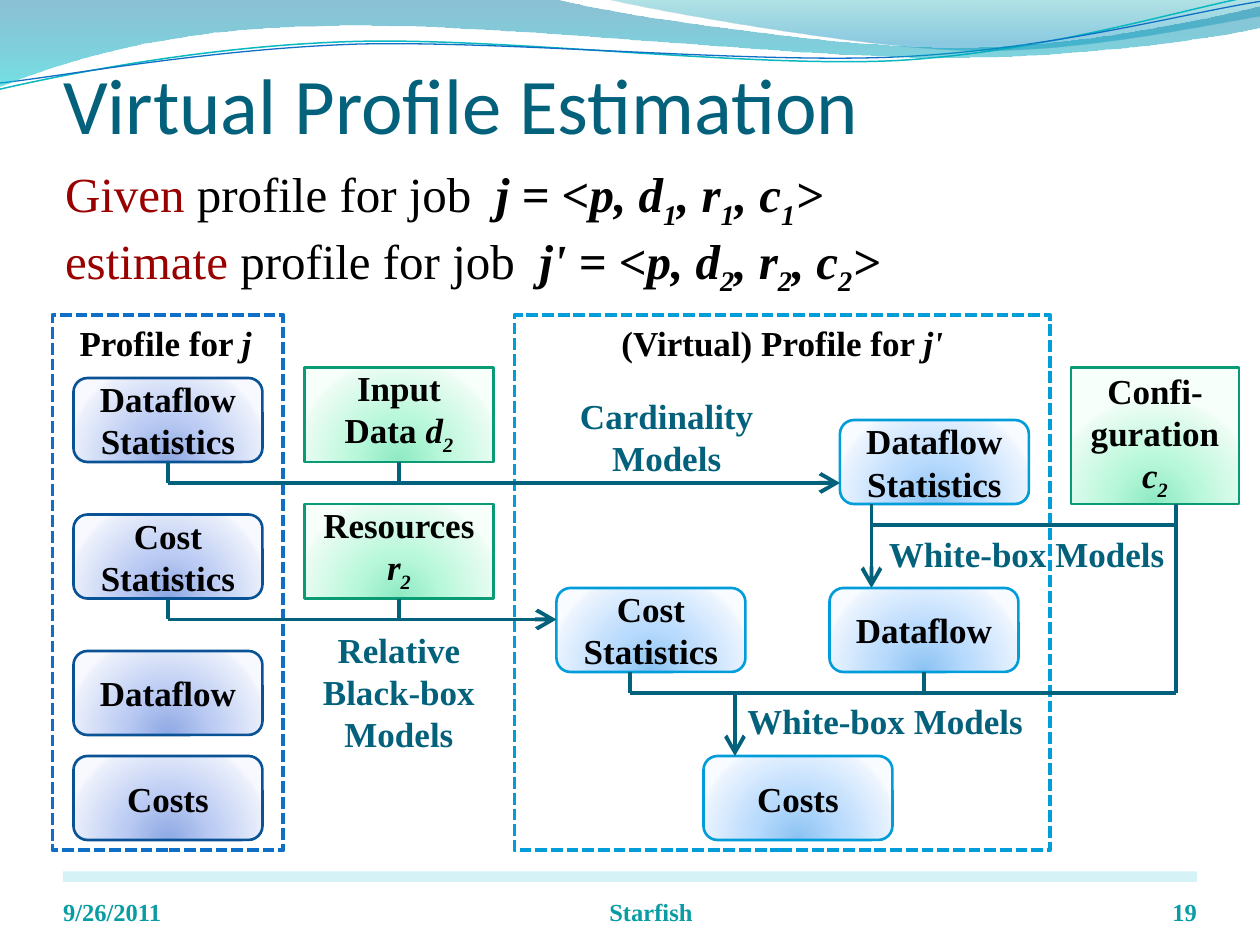
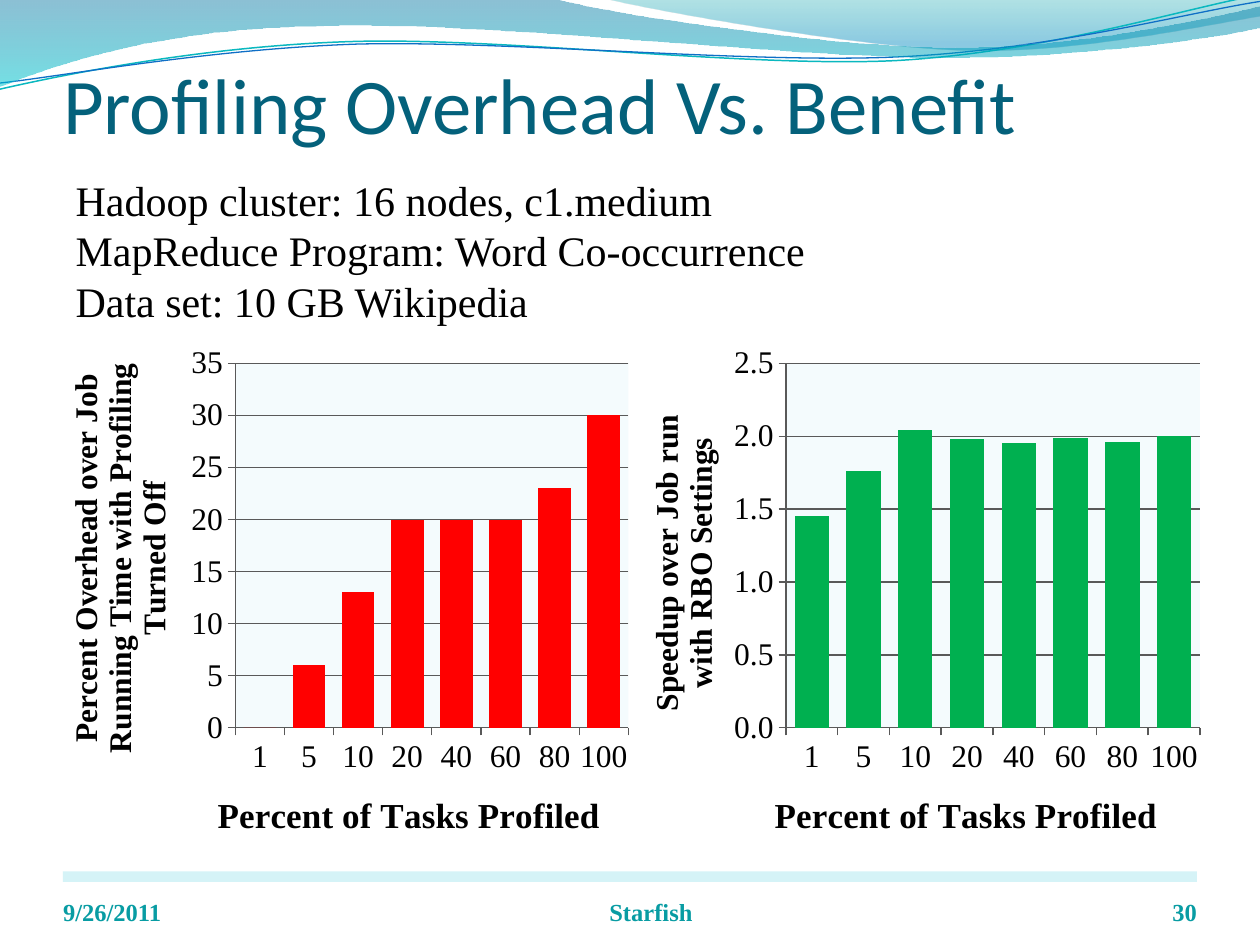
from dataclasses import dataclass

from lxml import etree
from pptx import Presentation
from pptx.chart.data import CategoryChartData
from pptx.dml.color import RGBColor
from pptx.enum.chart import XL_CHART_TYPE, XL_TICK_MARK
from pptx.enum.dml import MSO_LINE
from pptx.enum.shapes import MSO_CONNECTOR, MSO_SHAPE
from pptx.enum.text import MSO_ANCHOR, MSO_AUTO_SIZE, PP_ALIGN
from pptx.oxml import parse_xml
from pptx.oxml.ns import nsdecls, qn
from pptx.util import Pt

COLUMNS = XL_CHART_TYPE.COLUMN_CLUSTERED
TICK_OUT, TICK_NONE = XL_TICK_MARK.OUTSIDE, XL_TICK_MARK.NONE
SHORT_DASH = MSO_LINE.SQUARE_DOT
STRAIGHT = MSO_CONNECTOR.STRAIGHT
RECTANGLE, ROUNDED = MSO_SHAPE.RECTANGLE, MSO_SHAPE.ROUNDED_RECTANGLE
TOP, MIDDLE, BOTTOM = MSO_ANCHOR.TOP, MSO_ANCHOR.MIDDLE, MSO_ANCHOR.BOTTOM
LEFT, CENTER, RIGHT = PP_ALIGN.LEFT, PP_ALIGN.CENTER, PP_ALIGN.RIGHT
BOTTOM_SITE = 2
DEFAULT_INSETS = (7.2, 3.6, 7.2, 3.6)
NO_INSETS = (0, 0, 0, 0)


@dataclass(frozen=True)
class Theme:
    """Colours, fonts and type sizes of the deck."""

    title_font: str = "Calibri"
    body_font: str = "Times New Roman"
    title_size: int = 45
    given_size: int = 28
    setup_size: int = 24
    diagram_size: int = 20
    chart_size: int = 18
    footer_size: int = 14
    title: str = "04617B"
    footer: str = "089CA3"
    text: str = "000000"
    background: str = "FFFFFF"
    accent: str = "990000"
    band: str = "B3EAF2"
    known_panel: str = "0F6FC6"
    virtual_panel: str = "009DD9"
    axis: str = "595959"
    plot: str = "DBF5F9"
    overhead: str = "FF0000"
    speedup: str = "00B050"


THEME = Theme()
KNOWN = ("095295", ("8DA8E3", "BBCBF3", "EAEFFB", "F7F9FF"))
INPUT = ("0A9B74", ("8DEAC2", "BAF8DB", "EAFCF3", "F7FFFB"))
VIRTUAL = ("009DD9", ("8BC2F1", "B9DBFD", "EAF3FE", "F8FBFF"))
GLOW = '<a:path path="circle"><a:fillToRect l="50000" t="130000" r="50000" b="-30000"/></a:path>'
DOWNWARD = '<a:lin ang="5400000" scaled="0"/>'

RIGHT_WAVE = [(344.9, -0.7), (366.5, 5, 491, 27.4, 553.7, 28.8),
              (616.3, 30.2, 691.9, 13.7, 720, 9.4), (720, 0)]
LEFT_WAVE = [(0, -0.7), (316.8, -0.7), (342.7, 7.2, 478.1, 27.4, 545.8, 27.4),
             (614.2, 27.4, 689.8, 10.8, 720, 3.6), (720.7, 15.8),
             (707.8, 19.4, 626.4, 33.1, 537.1, 33.1),
             (447.8, 33.1, 275, 12.2, 185, 15.1), (92.9, 15.8, 33.1, 36.7, -0.7, 49.7)]
TEAL_LINE = [(-0.7, 51.1), (33.8, 43.2, 113.8, 26.6, 199.4, 23.8),
             (285.1, 20.9, 426.2, 38.9, 512.6, 34.6), (599, 29.5, 676.1, 5, 719.3, -2.9)]
BLUE_LINE = [(-0.7, 47.5), (33.8, 43.9, 118.1, 28.1, 203.8, 25.2),
             (290.2, 23, 429.8, 36.7, 515.5, 32.4), (601.9, 28.1, 678.2, 7.2, 720.7, 0.7)]


@dataclass(frozen=True)
class Box:
    """A rectangle in points."""

    left: float
    top: float
    width: float
    height: float

    def inside(self, x, y, width, height):
        """Return a box offset from this one's corner."""
        return Box(self.left + x, self.top + y, width, height)

    def lengths(self):
        """Return left, top, width and height as lengths."""
        return [Pt(v) for v in (self.left, self.top, self.width, self.height)]


def rgb(colour):
    """Return a colour object for a hex string."""
    return RGBColor.from_string(colour)


def write(text_frame, paragraphs, size, colour=THEME.text, alignment=CENTER, anchor=TOP,
          insets=DEFAULT_INSETS, font=THEME.body_font):
    """Write paragraphs of (text, flags) runs: b bold, i italic, s subscript, a accent."""
    text_frame.word_wrap = True
    text_frame.auto_size = MSO_AUTO_SIZE.NONE
    text_frame.vertical_anchor = anchor
    (text_frame.margin_left, text_frame.margin_top,
     text_frame.margin_right, text_frame.margin_bottom) = [Pt(v) for v in insets]
    for index, runs in enumerate(paragraphs):
        paragraph = text_frame.add_paragraph() if index else text_frame.paragraphs[0]
        properties = paragraph._p.get_or_add_pPr()
        properties.set("marL", "0")
        properties.set("indent", "0")
        etree.SubElement(properties, qn("a:buNone"))
        paragraph.alignment = alignment
        paragraph.space_before = Pt(0)
        for text, flags in runs:
            run = paragraph.add_run()
            run.text = text
            run.font.name, run.font.size = font, Pt(size)
            run.font.bold, run.font.italic = "b" in flags, "i" in flags
            run.font.color.rgb = rgb(THEME.accent if "a" in flags else colour)
            if "s" in flags:
                run._r.get_or_add_rPr().set("baseline", "-25000")


def bold_lines(*lines):
    """Return one bold paragraph per line."""
    return [[(line, "b")] for line in lines]


def add_text(slide, box, paragraphs, size=THEME.diagram_size, **style):
    """Add a text box."""
    write(slide.shapes.add_textbox(*box.lengths()).text_frame, paragraphs, size, **style)


def fill_placeholder(placeholder, box, paragraphs, size, **style):
    """Move a placeholder into the box and write its text."""
    placeholder.left, placeholder.top, placeholder.width, placeholder.height = box.lengths()
    write(placeholder.text_frame, paragraphs, size, alignment=LEFT, **style)


def set_gradient(shape, stops, direction):
    """Fill a shape with (position, colour, opacity) stops."""
    stop_xml = "".join(
        f'<a:gs pos="{position * 1000}"><a:srgbClr val="{colour}">'
        f'<a:alpha val="{opacity * 1000}"/></a:srgbClr></a:gs>'
        for position, colour, opacity in stops)
    shape.fill.background()
    properties = shape.element.spPr
    properties.replace(properties.find(qn("a:noFill")), parse_xml(
        f'<a:gradFill {nsdecls("a")} rotWithShape="1"><a:gsLst>{stop_xml}</a:gsLst>'
        f'{direction}</a:gradFill>'))


def add_wave(slide, segments, stops=None, line=None):
    """Add a filled wave or an open wave line made of lines and cubic curves."""
    points = [(Pt(x), Pt(y)) for segment in segments
              for x, y in zip(segment[::2], segment[1::2])]
    builder = slide.shapes.build_freeform(*points[0], scale=1.0)
    builder.add_line_segments(points[1:], close=bool(stops))
    shape = builder.convert_to_shape()
    steps = iter(shape.element.findall(".//" + qn("a:lnTo")))
    for segment in segments[1:]:
        step = next(steps)
        if len(segment) == 6:
            curve = etree.Element(qn("a:cubicBezTo"))
            step.addprevious(curve)
            for corner in (step, next(steps), next(steps)):
                curve.append(corner[0])
                corner.getparent().remove(corner)
    shape.shadow.inherit = False
    if stops:
        set_gradient(shape, stops, DOWNWARD)
        shape.line.fill.background()
    else:
        shape.fill.background()
        shape.line.color.rgb, shape.line.width = rgb(line[0]), Pt(line[1])
    return shape


def decorate_layout(layout, slide):
    """Draw the waves and footer band and hand them to the layout."""
    band = slide.shapes.add_shape(RECTANGLE, *Box(36, 498, 648, 6).lengths())
    band.shadow.inherit = False
    band.fill.solid()
    band.fill.fore_color.rgb = rgb(THEME.band)
    etree.SubElement(band.element.find(".//" + qn("a:srgbClr")), qn("a:alpha"), val="55000")
    band.line.fill.background()
    decorations = [
        band,
        add_wave(slide, RIGHT_WAVE, stops=[(0, "00A1A9", 30), (80, "008BBF", 45)]),
        add_wave(slide, TEAL_LINE, line=("0AB8BF", 0.85)),
        add_wave(slide, BLUE_LINE, line=("0F6FC6", 0.75)),
        add_wave(slide, LEFT_WAVE, stops=[(0, "0074A1", 45), (100, "00C6CF", 55)])]
    first_placeholder = layout.placeholders[0].element
    for number, shape in enumerate(decorations, 100):
        shape.element.nvSpPr.cNvPr.set("id", str(number))
        first_placeholder.addprevious(shape.element)


def add_frame(slide, title, number):
    """Fill the title and add the footer."""
    fill_placeholder(slide.shapes.title, Box(36, 24, 648, 66), [[(title, "")]],
                     THEME.title_size, colour=THEME.title, font=THEME.title_font,
                     anchor=MIDDLE, insets=(0, 3.6, 0, 0))
    footer = Box(36, 500.5, 648, 29)
    for text, x, width, alignment in (("9/26/2011", 0, 168, LEFT), ("Starfish", 204, 264, CENTER),
                                      (number, 588, 60, RIGHT)):
        add_text(slide, footer.inside(x, 0, width, footer.height), bold_lines(text),
                 THEME.footer_size, colour=THEME.footer, alignment=alignment,
                 anchor=BOTTOM, insets=NO_INSETS)


def add_panel(slide, box, colour, heading, insets=DEFAULT_INSETS):
    """Add a dashed panel with its heading."""
    panel = slide.shapes.add_shape(RECTANGLE, *box.lengths())
    panel.shadow.inherit = False
    panel.fill.background()
    panel.line.color.rgb, panel.line.width = rgb(colour), Pt(2.25)
    panel.line.dash_style = SHORT_DASH
    add_text(slide, box.inside(0, 0, box.width, 32), [heading], insets=insets)


def add_node(slide, box, kind, paragraphs, preset=ROUNDED, insets=DEFAULT_INSETS):
    """Add a glowing node with centred text."""
    line, colours = kind
    node = slide.shapes.add_shape(preset, *box.lengths())
    node.shadow.inherit = False
    set_gradient(node, [(p, c, 100) for p, c in zip((0, 43, 93, 100), colours)], GLOW)
    node.line.color.rgb, node.line.width = rgb(line), Pt(1.5)
    write(node.text_frame, paragraphs, THEME.diagram_size, anchor=MIDDLE, insets=insets)
    return node


def add_link(slide, box, start, end, source=None, arrow=False, colour=THEME.title, width=2.25):
    """Add a straight line between two points of the box."""
    ends = [Pt(v) for x, y in (start, end) for v in (box.left + x, box.top + y)]
    link = slide.shapes.add_connector(STRAIGHT, *ends)
    if source:
        link.begin_connect(source, BOTTOM_SITE)
    link.line.color.rgb, link.line.width = rgb(colour), Pt(width)
    properties = link.element.spPr
    if arrow:
        etree.SubElement(properties.find(qn("a:ln")), qn("a:tailEnd"),
                         type="arrow", w="lg", len="lg")
    etree.SubElement(properties, qn("a:effectLst"))


def add_diagram(slide, box):
    """Draw the estimation flow from one profile to the other."""
    add_panel(slide, box.inside(264, 0, 306, 306), THEME.virtual_panel,
              [("(Virtual) Profile for ", "b"), ("j'", "bi")])
    add_panel(slide, box.inside(0, 0, 132, 306), THEME.known_panel,
              [("Profile for ", "b"), ("j", "bi")], (4.3, 3.6, 7.2, 3.6))
    dataflow_statistics = bold_lines("Dataflow", "Statistics")
    cost_statistics = bold_lines("Cost", "Statistics")
    dataflow, costs = bold_lines("Dataflow"), bold_lines("Costs")
    known = [add_node(slide, box.inside(12, y, 108, 48), KNOWN, text) for y, text in (
        (36, dataflow_statistics), (114, cost_statistics), (192, dataflow), (252, costs))]
    virtual = [add_node(slide, box.inside(x, y, 108, 48), VIRTUAL, text) for x, y, text in (
        (450, 60, dataflow_statistics), (288, 156, cost_statistics),
        (444, 156, dataflow), (372, 252, costs))]
    data = add_node(slide, box.inside(144, 30, 108, 54), INPUT,
                    [[("Input", "b")], [("Data ", "b"), ("d", "bi"), ("2", "bis")]],
                    RECTANGLE, (7.2, 0, 7.2, 3.6))
    resources = add_node(slide, box.inside(144, 108, 108, 54), INPUT,
                         [[("Resources", "b")], [("r", "bi"), ("2", "bis")]],
                         RECTANGLE, (0, 0, 0, 3.6))
    add_node(slide, box.inside(582, 30, 96, 78), INPUT,
             [[("Confi-guration ", "b"), ("c", "bi"), ("2", "bis")]], RECTANGLE)

    for x, y, width, height, right, alignment, lines in (
            (264, 42, 174, 55, 7.2, CENTER, ("Cardinality", "Models")),
            (126, 175.5, 144, 80, 7.2, CENTER, ("Relative", "Black-box", "Models")),
            (468, 121, 174, 32, 3.6, CENTER, ("White-box Models",)),
            (390, 216, 180, 32, 7.2, LEFT, ("White-box Models",))):
        add_text(slide, box.inside(x, y, width, height), bold_lines(*lines),
                 colour=THEME.title, alignment=alignment, insets=(7.2, 3.6, right, 3.6))

    add_link(slide, box, (240, 170.5), (240, 178), colour=THEME.background, width=6)
    for bar, target, profile_node, input_node in ((96, 450, known[0], data),
                                                  (174, 288, known[1], resources)):
        add_link(slide, box, (66, bar - 12), (66, bar), profile_node)
        add_link(slide, box, (198, bar - 12), (198, bar), input_node)
        add_link(slide, box, (66, bar), (target, bar), arrow=True)
    add_link(slide, box, (642, 108), (642, 216))
    add_link(slide, box, (642, 108), (642, 120))
    add_link(slide, box, (642, 120), (468, 120))
    add_link(slide, box, (468, 108), (468, 156), arrow=True)
    add_link(slide, box, (330, 204), (330, 216))
    add_link(slide, box, (498, 204), (498, 216), virtual[2])
    add_link(slide, box, (642, 216), (330, 216))
    add_link(slide, box, (390, 216), (390, 252), arrow=True)


def manual_layout(x, y, width=None, height=None):
    """Return a chart layout in fractions of the chart."""
    target = '<c:layoutTarget val="inner"/>' if width else ""
    size = f'<c:w val="{width}"/><c:h val="{height}"/>' if width else ""
    return parse_xml(
        f'<c:layout {nsdecls("c")}><c:manualLayout>{target}<c:xMode val="edge"/>'
        f'<c:yMode val="edge"/><c:x val="{x}"/><c:y val="{y}"/>{size}</c:manualLayout></c:layout>')


def format_axis(axis, title_lines, size, position):
    """Style an axis and place its title."""
    axis.major_tick_mark, axis.minor_tick_mark = TICK_OUT, TICK_NONE
    axis.format.line.color.rgb, axis.format.line.width = rgb(THEME.axis), Pt(0.75)
    write(axis.axis_title.text_frame, bold_lines(*title_lines), size)
    title = axis.axis_title.element
    title.replace(title.find(qn("c:layout")), manual_layout(*position))


def add_bar_chart(slide, box, values, colour, number_format, top, step, value_title, plot, titles):
    """Add a column chart with titled axes."""
    data = CategoryChartData()
    data.categories = [1, 5, 10, 20, 40, 60, 80, 100]
    data.add_series("Series 1", values)
    chart = slide.shapes.add_chart(COLUMNS, *box.lengths(), data).chart
    chart.has_legend = chart.has_title = False
    chart.font.name, chart.font.size = THEME.body_font, Pt(THEME.chart_size)
    chart.font.color.rgb = rgb(THEME.text)
    bars = chart.plots[0]
    bars.gap_width, bars.vary_by_categories = 50, False
    bars.series[0].format.fill.solid()
    bars.series[0].format.fill.fore_color.rgb = rgb(colour)
    values_axis = chart.value_axis
    values_axis.minimum_scale, values_axis.maximum_scale = 0, top
    values_axis.major_unit = step
    values_axis.tick_labels.number_format = number_format
    values_axis.tick_labels.number_format_is_linked = False
    grid = values_axis.major_gridlines.format.line
    grid.color.rgb, grid.width = rgb(THEME.axis), Pt(0.75)
    format_axis(values_axis, value_title, THEME.chart_size, titles[0])
    format_axis(chart.category_axis, ["Percent of Tasks Profiled"], THEME.diagram_size, titles[1])
    area = chart.element.find(".//" + qn("c:plotArea"))
    for layout in area.findall(qn("c:layout")):
        area.remove(layout)
    area.insert(0, manual_layout(*plot))
    area.append(parse_xml(
        f'<c:spPr {nsdecls("c", "a")}><a:solidFill><a:srgbClr val="{THEME.plot}">'
        '<a:alpha val="30000"/></a:srgbClr></a:solidFill></c:spPr>'))


def job_runs(verb, job, index):
    """Return the runs that describe one job."""
    runs = [(verb, "a"), (" profile for job ", ""), (f" {job} = <p, d", "bi")]
    for following in (", r", ", c", ">"):
        runs += [(index, "bis"), (following, "bi")]
    return runs


def build_estimation(slide):
    """Build the virtual profile slide."""
    add_frame(slide, "Virtual Profile Estimation", "19")
    fill_placeholder(slide.placeholders[1], Box(30, 90, 654, 75),
                     [job_runs("Given", "j", "1"), job_runs("estimate", "j'", "2")],
                     THEME.given_size)
    add_diagram(slide, Box(30, 180, 678, 306))


def build_overhead(slide):
    """Build the overhead and benefit slide."""
    add_frame(slide, "Profiling Overhead Vs. Benefit", "30")
    setup = ("Hadoop cluster: 16 nodes, c1.medium", "MapReduce Program: Word Co-occurrence",
             "Data set: 10 GB Wikipedia")
    fill_placeholder(slide.placeholders[1], Box(36, 96, 648, 94),
                     [[(line, "")] for line in setup], THEME.setup_size)
    add_bar_chart(slide, Box(20.5, 192.5, 345.5, 302), (0, 6, 13, 20, 20, 20, 23, 30),
                  THEME.overhead, "0", 35, 5,
                  ["Percent Overhead over Job Running Time with Profiling Turned Off"],
                  (0.33, 0.05, 0.65, 0.69), ((0.04, 0.04), (0.29, 0.85)))
    add_bar_chart(slide, Box(354.5, 192.5, 338, 302),
                  (1.45, 1.76, 2.04, 1.98, 1.95, 1.99, 1.96, 2),
                  THEME.speedup, "0.0", 2.5, 0.5, ["Speedup over Job run", "with RBO Settings"],
                  (0.28, 0.05, 0.7, 0.69), ((0.04, 0.14), (0.25, 0.85)))


def main():
    """Build and save the deck."""
    presentation = Presentation()
    presentation.slide_width, presentation.slide_height = Pt(720), Pt(540)
    layout = presentation.slide_layouts[1]
    for index, build in enumerate((build_estimation, build_overhead)):
        slide = presentation.slides.add_slide(layout)
        if not index:
            decorate_layout(layout, slide)
        build(slide)
    presentation.save("out.pptx")


if __name__ == "__main__":
    main()
